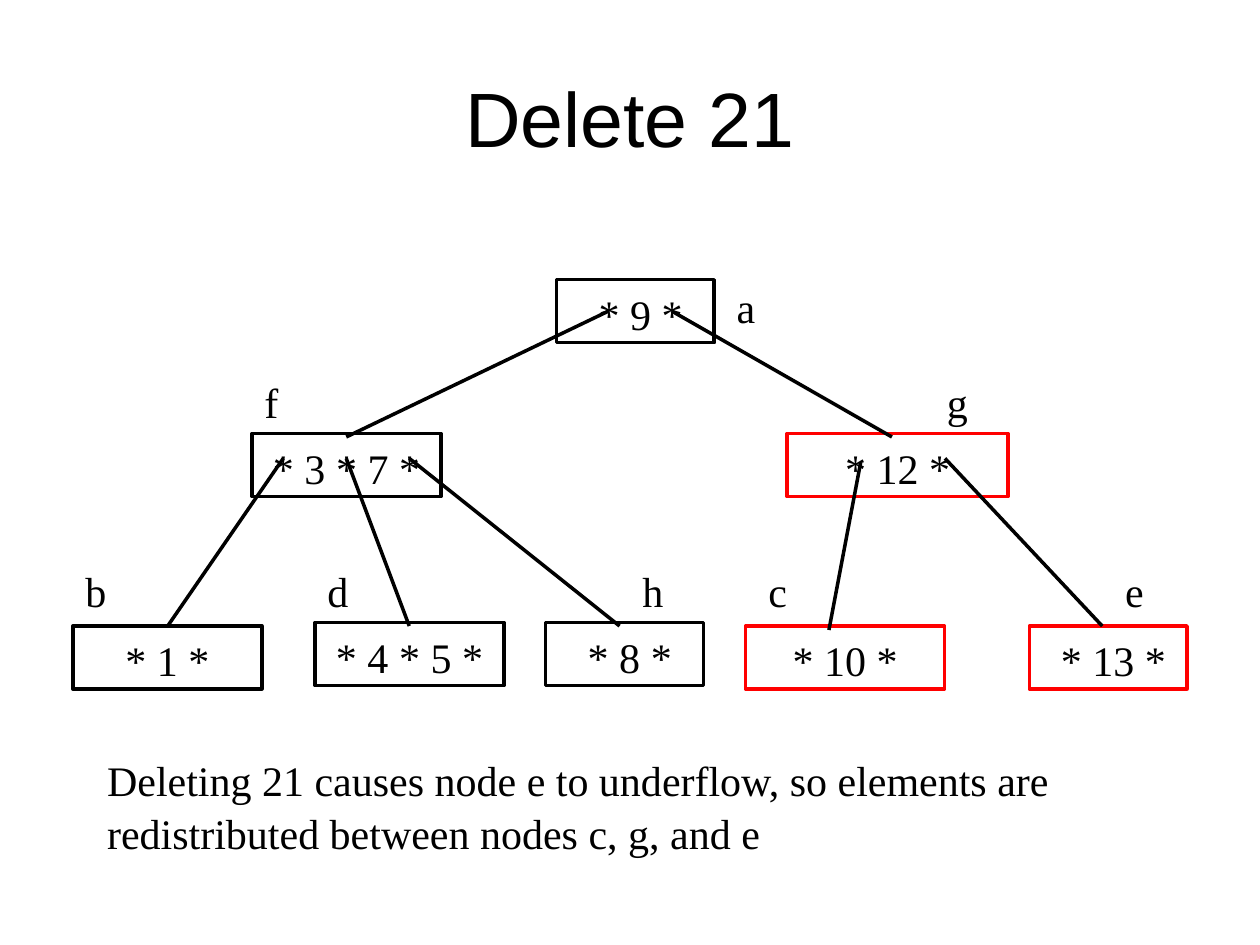
import pptx
import pptx.dml.color
import pptx.enum.shapes
import pptx.enum.text
import pptx.oxml.ns
import pptx.util
from lxml import etree

Cm = pptx.util.Cm
Pt = pptx.util.Pt
ALIGN = pptx.enum.text.PP_ALIGN

COLORS = {"ink": "000000", "changed": "FF0000"}
BODY_FONT = {"name": "Times New Roman", "size": Pt(24)}
TITLE_FONT = {"name": "Arial", "size": Pt(44)}
ROW_HEIGHT = 1.27
LABEL_WIDTH = 1.27
SPACE_WIDTH = 0.21

NODES = [
    ("* 3 * 7 *", 3.61, 3.23, 3.81, "ink", 0),
    ("* 13 *", 19.28, 7.11, 3.18, "changed", SPACE_WIDTH),
    ("* 12 *", 14.4, 3.23, 4.45, "changed", 0),
    ("* 9 *", 9.75, 0.13, 3.18, "ink", SPACE_WIDTH),
    ("* 1 *", 0, 7.11, 3.81, "ink", 0),
    ("* 4 * 5 *", 4.88, 7.04, 3.81, "ink", 0),
    ("* 10 *", 13.56, 7.11, 4.01, "changed", 0),
    ("* 8 *", 9.53, 7.04, 3.18, "ink", SPACE_WIDTH),
]
EDGES = [
    (10.8, 0.76, 5.51, 3.3),
    (12.07, 0.76, 16.51, 3.3),
    (4.24, 3.73, 1.91, 7.11),
    (5.51, 3.73, 6.78, 7.11),
    (6.78, 3.73, 11.02, 7.11),
    (17.58, 3.73, 20.75, 7.11),
    (15.88, 3.81, 15.24, 7.19),
]
LABELS = [
    ("a", 13.13, 0),
    ("f", 3.61, 1.91),
    ("g", 17.37, 1.91),
    ("b", 0, 5.72),
    ("d", 4.88, 5.72),
    ("h", 11.23, 5.72),
    ("c", 13.77, 5.72),
    ("e", 20.96, 5.72),
]


def color(name):
    return pptx.dml.color.RGBColor.from_string(COLORS[name])


def write(shape, text, font, align, spacing=None):
    frame = shape.text_frame
    frame.word_wrap = True
    para = frame.paragraphs[0]
    para.alignment = align
    para.line_spacing = spacing
    span = para.add_run()
    span.text = text
    span.font.color.rgb = color("ink")
    for key, value in font.items():
        setattr(span.font, key, value)


def add_title(page, left, top, width, height):
    title = page.shapes.title
    place = {"left": left, "top": top, "width": width, "height": height}
    for key, value in place.items():
        setattr(title, key, Cm(value))
    title.text_frame.vertical_anchor = pptx.enum.text.MSO_ANCHOR.MIDDLE
    write(title, "Delete 21", TITLE_FONT, ALIGN.CENTER)


def add_text(page, text, left, top, width, height):
    box = page.shapes.add_textbox(Cm(left), Cm(top), Cm(width), Cm(height))
    write(box, text, BODY_FONT, ALIGN.LEFT, 1.05)


def add_node(page, text, left, top, width, outline, indent):
    node = page.shapes.add_shape(
        pptx.enum.shapes.MSO_SHAPE.RECTANGLE,
        Cm(left), Cm(top), Cm(width), Cm(ROW_HEIGHT))
    node.shadow.inherit = False
    node.fill.background()
    node.line.color.rgb = color(outline)
    node.line.width = Pt(2)
    node.text_frame.vertical_anchor = pptx.enum.text.MSO_ANCHOR.TOP
    node.text_frame.margin_left = Cm(0.25 + indent)
    write(node, text, BODY_FONT, ALIGN.CENTER, 1.05)


def add_edge(page, start_x, start_y, end_x, end_y):
    edge = page.shapes.add_connector(
        pptx.enum.shapes.MSO_CONNECTOR.STRAIGHT,
        Cm(start_x), Cm(start_y), Cm(end_x), Cm(end_y))
    edge.line.color.rgb = color("ink")
    edge.line.width = Pt(2)
    etree.SubElement(edge._element.spPr, pptx.oxml.ns.qn("a:effectLst"))


def add_tree(page, left, top):
    for text, x, y, width, outline, indent in NODES:
        add_node(page, text, left + x, top + y, width, outline, indent)
    for start_x, start_y, end_x, end_y in EDGES:
        add_edge(page, left + start_x, top + start_y, left + end_x, top + end_y)
    for text, x, y in LABELS:
        add_text(page, text, left + x, top + y, LABEL_WIDTH, ROW_HEIGHT)


def main():
    deck = pptx.Presentation()
    deck.slide_width = Cm(25.4)
    deck.slide_height = Cm(19.05)
    page = deck.slides.add_slide(deck.slide_layouts[5])
    add_title(page, 1.27, 0.76, 22.86, 3.18)
    add_tree(page, 1.47, 5.51)
    add_text(
        page,
        "Deleting 21 causes node e to underflow, so elements are "
        "redistributed between nodes c, g, and e",
        1.91, 15.04, 20.52, 2.29)
    deck.save("out.pptx")


if __name__ == "__main__":
    main()
